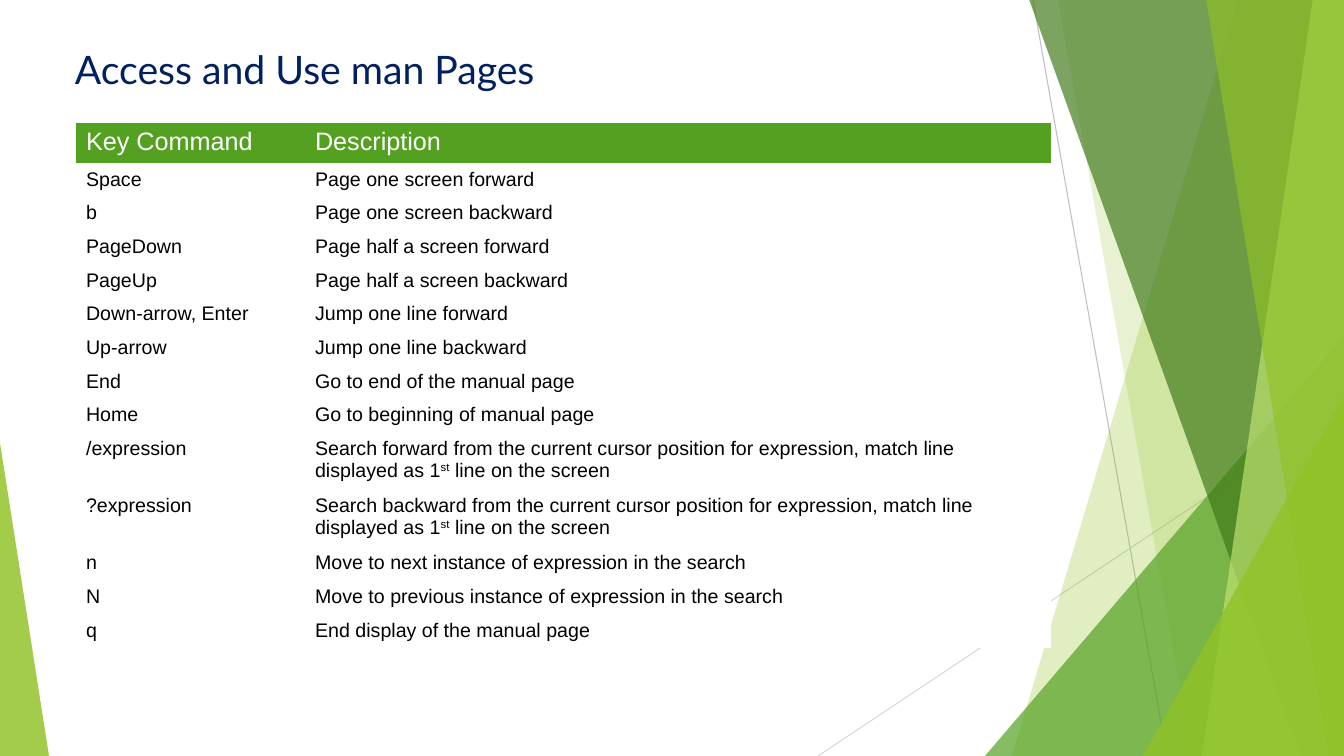
from dataclasses import dataclass
from lxml.etree import SubElement
from pptx import Presentation
from pptx.dml.color import RGBColor as RGB
from pptx.enum.shapes import MSO_CONNECTOR as Wire, MSO_SHAPE as Form
from pptx.oxml.ns import qn
from pptx.util import Pt


@dataclass(frozen=True)
class Theme:
    title: str = "002060"
    lime: str = "90C226"
    green: str = "54A021"
    dark: str = "3F7818"
    pale: str = "BFE471"
    white: str = "FFFFFF"
    black: str = "000000"
    gray: str = "BFBFBF"
    light: str = "D8D8D8"
    head: str = "Lato"
    body: str = "Arial"
    big: int = 28
    mid: int = 18
    small: int = 14
    thin: float = 0.75
    plain: str = "{2D5ABB26-0587-4C30-8999-92F81FD0307C}"


class Deck:
    scale = 12192000 / 1344

    def __init__(self, theme):
        self.theme = theme
        self.file = Presentation()
        self.file.slide_width, self.file.slide_height = self.emu(1344, 756)
        self.slide = self.file.slides.add_slide(self.file.slide_layouts[6])
        self.shapes = self.slide.shapes

    def emu(self, *sizes):
        return [round(size * self.scale) for size in sizes]

    def paint(self, shape, color, alpha):
        shape.shadow.inherit = False
        shape.line.fill.background()
        shape.fill.solid()
        shape.fill.fore_color.rgb = RGB.from_string(color)
        tint = shape.fill._xPr.find(qn("a:solidFill"))[0]
        SubElement(tint, qn("a:alpha"), val=str(alpha * 1000))

    def line(self, start, end, color):
        wire = self.shapes.add_connector(Wire.STRAIGHT, *self.emu(*start, *end))
        wire.line.width = Pt(self.theme.thin)
        wire.line.color.rgb = RGB.from_string(color)
        SubElement(wire._element.spPr, qn("a:effectLst"))

    def shard(self, points, color, alpha):
        pen = self.shapes.build_freeform(*points[0], scale=self.scale)
        pen.add_line_segments(points[1:], close=True)
        self.paint(pen.convert_to_shape(), color, alpha)

    def wedge(self, box, tip, color, alpha):
        shape = self.shapes.add_shape(Form.ISOSCELES_TRIANGLE, *self.emu(*box))
        shape.adjustments[0] = tip
        self.paint(shape, color, alpha)

    def style(self, run, face, size, color):
        run.font.name = face
        run.font.size = Pt(size)
        run.font.bold = False
        run.font.color.rgb = RGB.from_string(color)

    def title(self, box, text):
        frame = self.shapes.add_textbox(*self.emu(*box)).text_frame
        frame.word_wrap = True
        frame.text = text
        theme = self.theme
        self.style(frame.paragraphs[0].runs[0], theme.head, theme.big, theme.title)

    def cell(self, cell, text, size, color, fill):
        cell.fill.solid()
        cell.fill.fore_color.rgb = RGB.from_string(fill)
        para = cell.text_frame.paragraphs[0]
        for spot, part in enumerate(text.split("^")):
            run = para.add_run()
            run.text = part
            self.style(run, self.theme.body, size, color)
            if spot % 2:
                run.font._element.set("baseline", "30000")

    def table(self, left, top, widths, heights, rows):
        theme = self.theme
        box = self.emu(left, top, sum(widths), sum(heights))
        grid = self.shapes.add_table(len(rows), len(widths), *box).table
        grid.horz_banding = False
        grid._tbl.tblPr[0].text = theme.plain
        for col, width in zip(grid.columns, self.emu(*widths)):
            col.width = width
        for row, height in zip(grid.rows, self.emu(*heights)):
            row.height = height
        for at, texts in enumerate(rows):
            look = (theme.small, theme.black, theme.white)
            if at == 0:
                look = (theme.mid, theme.white, theme.green)
            for cell, text in zip(grid.rows[at].cells, texts):
                self.cell(cell, text, *look)


ROWS = [
    ("Key Command", "Description"),
    ("Space", "Page one screen forward"),
    ("b", "Page one screen backward"),
    ("PageDown", "Page half a screen forward"),
    ("PageUp", "Page half a screen backward"),
    ("Down-arrow, Enter", "Jump one line forward"),
    ("Up-arrow", "Jump one line backward"),
    ("End", "Go to end of the manual page"),
    ("Home", "Go to beginning of manual page"),
    ("/expression", "Search forward from the current cursor position for expression, "
     "match line displayed as 1^st^ line on the screen"),
    ("?expression", "Search backward from the current cursor position for expression, "
     "match line displayed as 1^st^ line on the screen"),
    ("n", "Move to next instance of expression in the search"),
    ("N", "Move to previous instance of expression in the search"),
    ("q", "End display of the manual page"),
]


def main():
    theme = Theme()
    deck = Deck(theme)
    deck.line((1033, 0), (1167, 756), theme.gray)
    deck.line((1344, 406), (818, 756), theme.light)

    def shard(top, foot, color, alpha):
        deck.shard([(top, -1), (1344, -1), (1344, 756), (foot, 756)], color, alpha)

    shard(1238, 1012, theme.lime, 28)
    shard(1058, 1192, theme.lime, 20)
    deck.wedge((985, 336, 359, 420), 1, theme.green, 70)
    shard(1029, 1301, theme.dark, 68)
    shard(1313, 1202, theme.pale, 68)
    shard(1206, 1329, theme.lime, 63)
    deck.wedge((1143, 396, 201, 360), 1, theme.lime, 80)
    deck.wedge((0, 443, 49, 313), 0, theme.lime, 83)

    deck.title((65, 40, 882, 58), "Access and Use man Pages")
    heights = [38] + [32] * 8 + [54] * 2 + [32] * 3
    deck.table(76, 123, (229, 746), heights, ROWS)
    deck.file.save("out.pptx")


if __name__ == "__main__":
    main()
